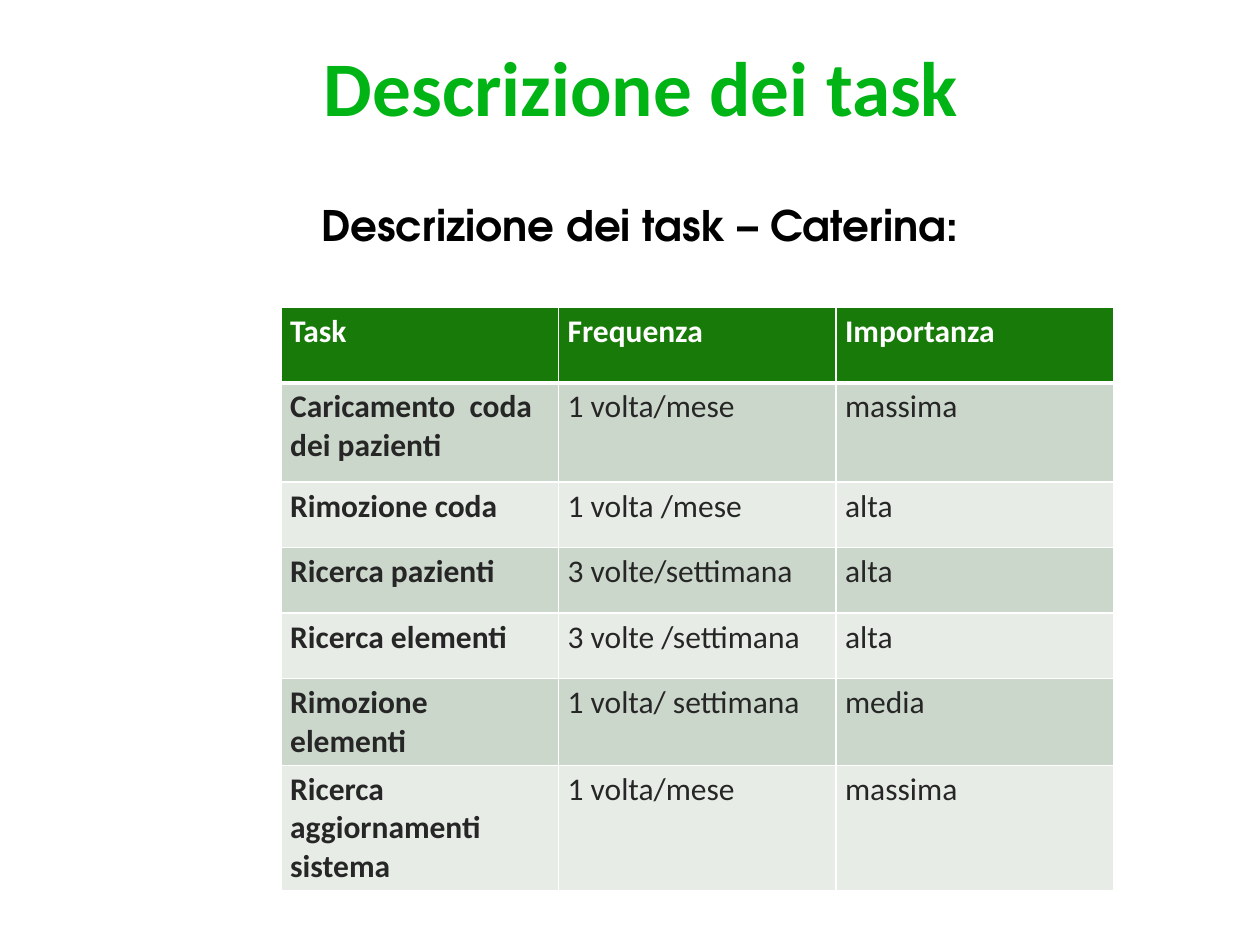
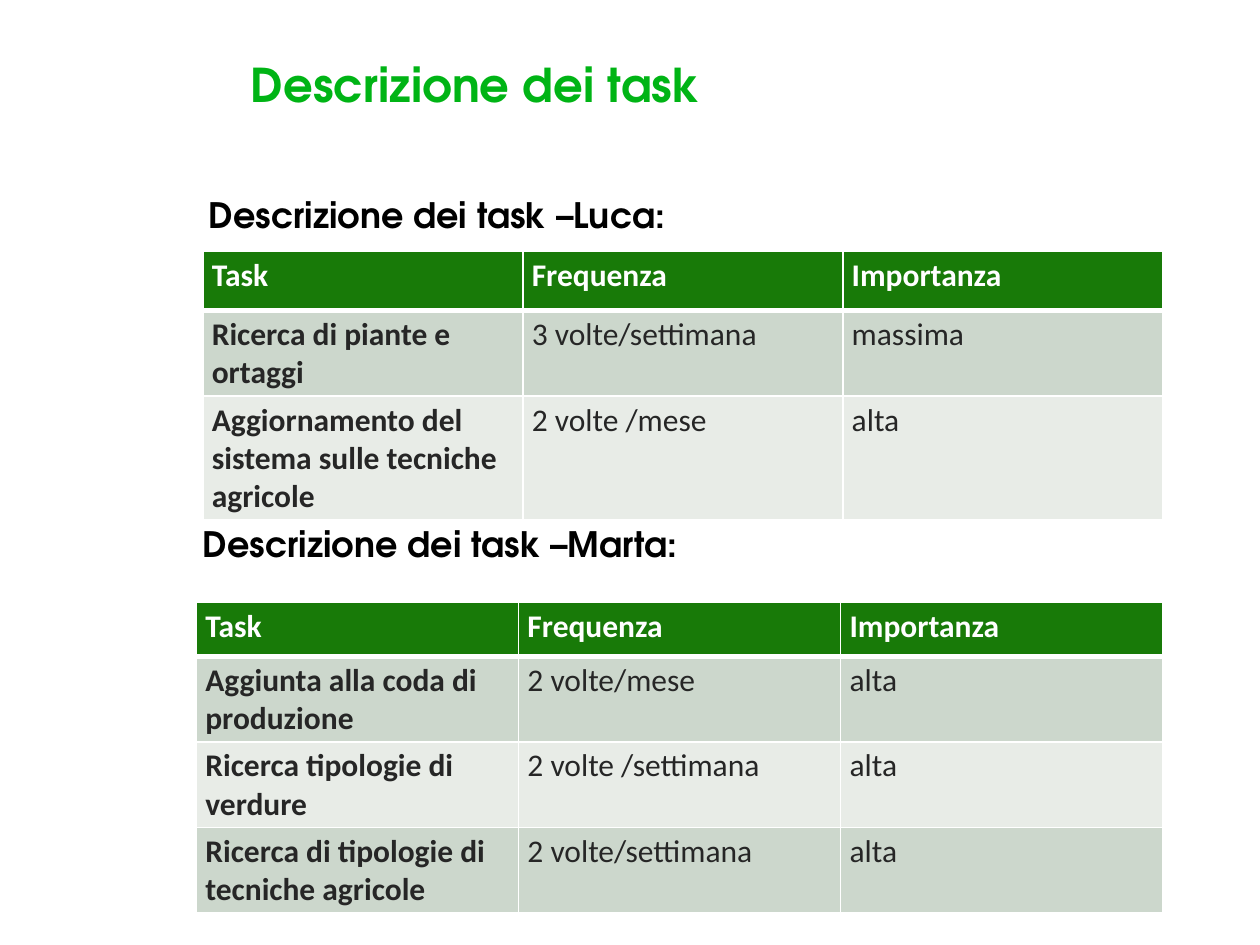
"""Build two slides describing the tasks of each user, with frequency and importance."""
from lxml import etree
from pptx import Presentation
from pptx.dml.color import RGBColor
from pptx.enum.text import MSO_ANCHOR, PP_ALIGN
from pptx.oxml.ns import qn
from pptx.util import Cm, Pt

TOP = MSO_ANCHOR.TOP
LEFT, CENTER = PP_ALIGN.LEFT, PP_ALIGN.CENTER
BODY_FONT, HEAD_FONT = "Calibri", "TeX Gyre Adventor"
COLORS = {
    "title": "00B415",
    "heading": "000000",
    "header": "187A08",
    "odd": "CCD7CC",
    "even": "E8ECE7",
    "cell": "262626",
    "white": "FFFFFF",
}
HEADER = ("Task", "Frequenza", "Importanza")
PAD_X, PAD_Y = Cm(0.18), Cm(0.1)


def add_text(s, box, text, font, size, color, align=LEFT, pad=(0.25, 0.13)):
    sp = s.shapes.add_textbox(*[Cm(v) for v in box])
    tf = sp.text_frame
    tf.word_wrap = True
    tf.vertical_anchor = TOP
    tf.margin_left = tf.margin_right = Cm(pad[0])
    tf.margin_top = tf.margin_bottom = Cm(pad[1])
    p = tf.paragraphs[0]
    p.alignment = align
    r = p.add_run()
    r.text = text
    r.font.name, r.font.size, r.font.bold = font, Pt(size), True
    r.font.color.rgb = RGBColor.from_string(COLORS[color])


def add_task_table(s, left, top, width, heights, tasks):
    rows = [HEADER] + tasks
    frame = s.shapes.add_table(len(rows), len(HEADER), Cm(left), Cm(top),
                               Cm(width), Cm(sum(heights)))
    table = frame.table
    for row, height in zip(table.rows, heights):
        row.height = Cm(height)
    for i, row in enumerate(rows):
        fill = "header" if i == 0 else "odd" if i % 2 else "even"
        for j, text in enumerate(row):
            cell = table.cell(i, j)
            cell.margin_left = cell.margin_right = PAD_X
            cell.margin_top = cell.margin_bottom = PAD_Y
            cell.fill.solid()
            cell.fill.fore_color.rgb = RGBColor.from_string(COLORS[fill])
            tf = cell.text_frame
            for k, line in enumerate(text.split("\n")):
                p = tf.add_paragraph() if k else tf.paragraphs[0]
                r = p.add_run()
                r.text = line
                r.font.name, r.font.size = BODY_FONT, Pt(18)
                r.font.bold = i == 0 or j == 0
                r.font.color.rgb = RGBColor.from_string(COLORS["cell" if i else "white"])
            tc_pr = cell._tc.get_or_add_tcPr()
            borders = {"lnL": 1, "lnR": 1, "lnT": 3 if i == 1 else 1, "lnB": 1 if i else 3}
            for k, (side, points) in enumerate(borders.items()):
                ln = etree.Element(qn(f"a:{side}"), w=str(Pt(points)))
                solid = etree.SubElement(ln, qn("a:solidFill"))
                etree.SubElement(solid, qn("a:srgbClr"), val=COLORS["white"])
                tc_pr.insert(k, ln)


prs = Presentation()
prs.slide_width, prs.slide_height = Cm(25.4), Cm(19.05)
blank = prs.slide_layouts[6]

s = prs.slides.add_slide(blank)
add_task_table(s, 5.67, 6.2, 16.78, [1.52, 2, 1.32, 1.32, 1.32, 1.32, 2], [
    ("Caricamento  coda dei pazienti", "1 volta/mese", "massima"),
    ("Rimozione coda", "1 volta /mese", "alta"),
    ("Ricerca pazienti", "3 volte/settimana", "alta"),
    ("Ricerca elementi", "3 volte /settimana", "alta"),
    ("Rimozione elementi", "1 volta/ settimana", "media"),
    ("Ricerca aggiornamenti sistema", "1 volta/mese", "massima"),
])
add_text(s, (4.76, 3.89, 16.26, 2.31), "Descrizione dei task – Caterina:",
         HEAD_FONT, 24, "heading", CENTER)
add_text(s, (3.65, 0.8, 18.57, 3.3), "Descrizione dei task",
         BODY_FONT, 44.1, "title", CENTER, (0.25, 0))

s = prs.slides.add_slide(blank)
add_text(s, (3.84, 10.41, 12.7, 1.68), "Descrizione dei task –Marta:",
         HEAD_FONT, 20, "heading")
add_task_table(s, 3.96, 12.14, 19.48, [1.09, 1.45, 1.45, 1.45], [
    ("Aggiunta alla coda di produzione", "2 volte/mese", "alta"),
    ("Ricerca tipologie di\nverdure", "2 volte /settimana", "alta"),
    ("Ricerca di tipologie di tecniche agricole", "2 volte/settimana", "alta"),
])
add_text(s, (3.96, 3.78, 12.83, 1.96), "Descrizione dei task –Luca:",
         HEAD_FONT, 20, "heading")
add_task_table(s, 4.09, 5.07, 19.35, [1.19, 1.04, 2.21], [
    ("Ricerca di piante e ortaggi", "3 volte/settimana", "massima"),
    ("Aggiornamento del sistema sulle tecniche agricole", "2 volte /mese", "alta"),
])
add_text(s, (4.88, 1.02, 18.57, 1.68), "Descrizione dei task",
         HEAD_FONT, 26.6, "title", LEFT, (0.18, 0.1))

prs.save("out.pptx")
